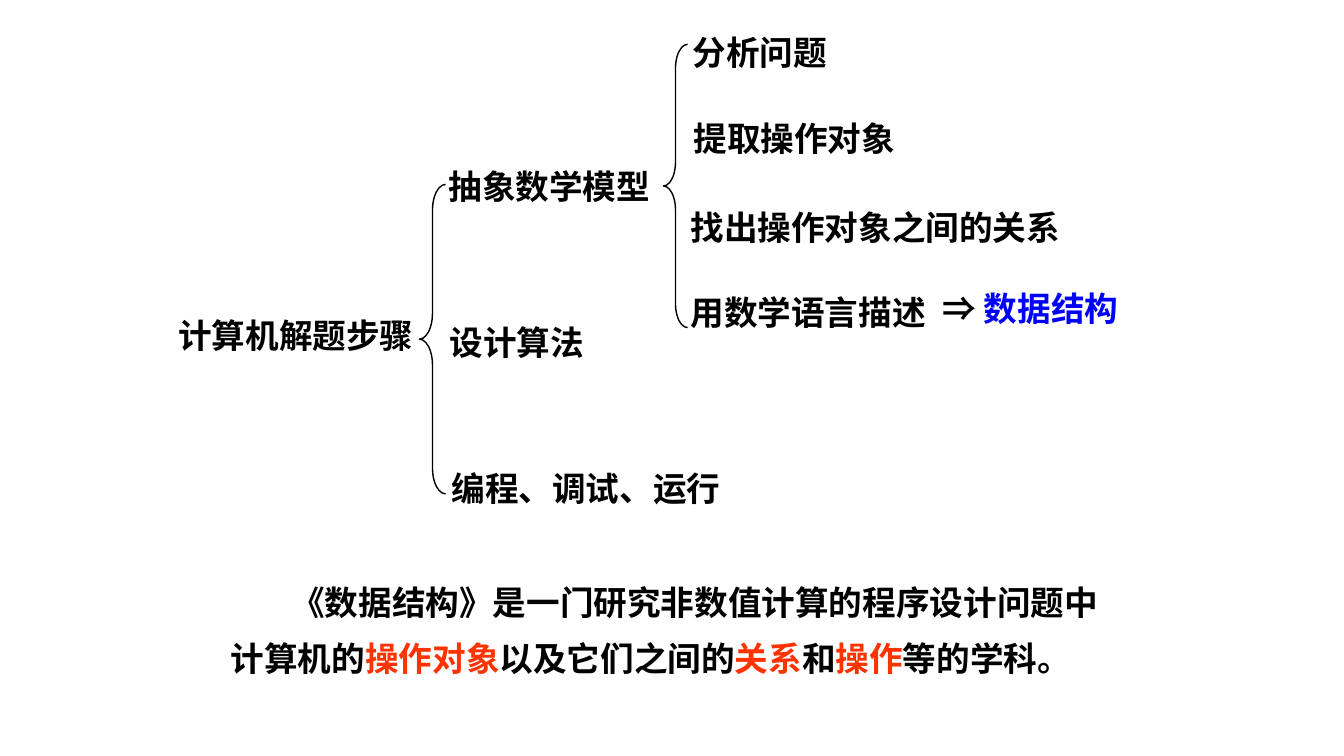
"""Build a slide on the steps of solving a problem by computer."""
from lxml.etree import SubElement
from pptx import Presentation
from pptx.dml.color import RGBColor
from pptx.enum.shapes import MSO_SHAPE
from pptx.oxml.ns import qn
from pptx.util import Inches, Pt

SANS = "Noto Sans CJK SC"
SERIF = "Times New Roman"
BLACK, BLUE, RED = "000000", "0000FF", "FF3300"


def color(code):
    return RGBColor.from_string(code)


def write(box, lines, face, wrap=False, space=1.0):
    frame = box.text_frame
    frame.word_wrap = wrap
    frame.text = "\n".join("".join(text for text, _ in line) for line in lines)
    for para, line in zip(frame.paragraphs, lines):
        para.text = ""
        para.line_spacing = space
        for text, code in line:
            run = para.add_run()
            run.text = text
            run.font.name = face
            run.font.size = Pt(24)
            run.font.bold = True
            run.font.color.rgb = color(code)
            SubElement(run.font._element, qn("a:ea")).set("typeface", SANS)


deck = Presentation()
deck.slide_width, deck.slide_height = Inches(13.33), Inches(7.5)
slide = deck.slides.add_slide(deck.slide_layouts[6])
shapes = slide.shapes

braces = [(4.16, 1.83, 0.26, 3.07), (6.58, 0.44, 0.24, 2.81)]
for place in braces:
    brace = shapes.add_shape(MSO_SHAPE.LEFT_BRACE, *map(Inches, place))
    brace.adjustments[0] = 0.99
    brace.shadow.inherit = False
    brace.fill.background()
    brace.line.color.rgb = color(BLACK)
    brace.line.width = Pt(1)

labels = [
    ("计算机解题步骤", 1.67, 3.08, 2.83, SERIF, 1.0),
    ("抽象数学模型", 4.35, 1.6, 2.3, "Roboto", 1.0),
    ("设计算法", 4.36, 3.14, 1.66, SANS, 1.0),
    ("编程、调试、运行", 4.38, 4.59, 2.97, "Roboto", 1.0),
    ("分析问题", 6.77, 0.27, 1.64, SANS, 1.0),
    ("提取操作对象", 6.78, 1.12, 2.33, SANS, 1.0),
    ("找出操作对象之间的关系", 6.75, 1.96, 3.97, SANS, 1.1),
    ("用数学语言描述", 6.75, 2.85, 2.64, SANS, 1.0),
]
for text, left, top, width, face, space in labels:
    box = shapes.add_textbox(Inches(left), Inches(top), Inches(width), Inches(0.5))
    write(box, [[(text, BLACK)]], face, space=space)

result = shapes.add_textbox(Inches(9.25), Inches(2.85), Inches(2.08), Inches(0.46))
write(result, [[("⇒ ", BLACK), ("数据结构", BLUE)]], SANS, space=0.9)

summary = shapes.add_textbox(Inches(2.19), Inches(5.56), Inches(9.29), Inches(1.17))
lines = [
    [("《数据结构》是一门研究非数值计算的程序设计问题中", BLACK)],
    [("计算机的", BLACK), ("操作对象", RED), ("以及它们之间的", BLACK),
     ("关系", RED), ("和", BLACK), ("操作", RED), ("等的学科。", BLACK)],
]
write(summary, lines, SERIF, wrap=True, space=1.4)
first = summary.text_frame.paragraphs[0]
first._p.get_or_add_pPr().set("indent", str(Inches(0.6)))

deck.save("out.pptx")
